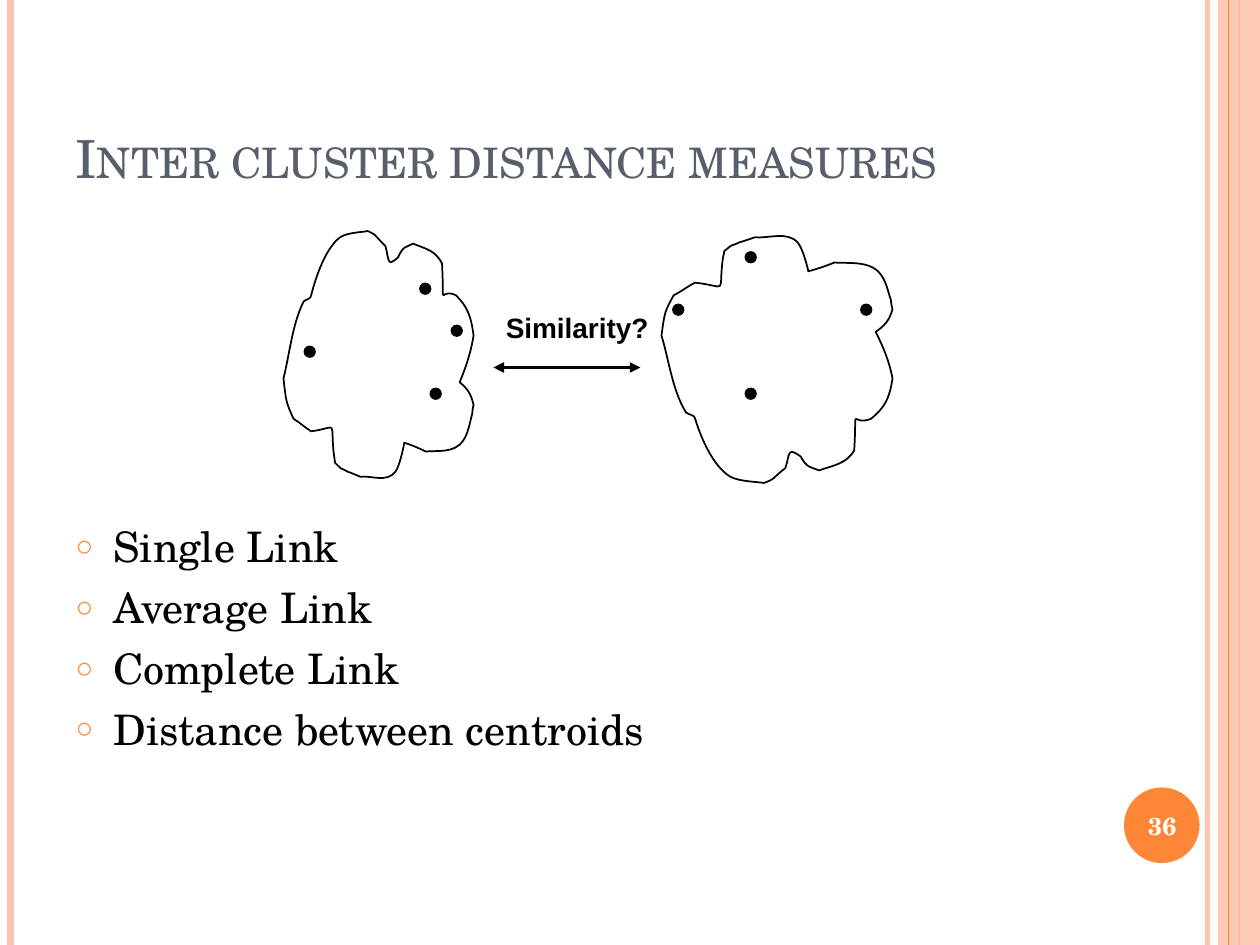
from dataclasses import dataclass

from lxml.etree import SubElement
from pptx import Presentation
from pptx.dml.color import RGBColor as RGB
from pptx.enum.shapes import MSO_CONNECTOR as Link, MSO_SHAPE as Shape
from pptx.enum.text import MSO_ANCHOR as Anchor, MSO_AUTO_SIZE as Fit, PP_ALIGN as Align
from pptx.oxml.ns import qn
from pptx.util import Inches, Pt

COLS, ROWS = 120, 90  # twelve grid steps to the inch


@dataclass(frozen=True)
class Theme:
    serif: str = "TeX Gyre Schola"
    sans: str = "Arial"
    ink: str = "000000"
    slate: str = "575F6D"
    orange: str = "FE8637"
    peach: str = "FEC3AE"
    white: str = "FFFFFF"
    title: int = 30
    body: int = 24
    label: int = 16
    page: int = 14


@dataclass(frozen=True)
class Box:
    """A place on the slide, in grid steps."""
    x: float
    y: float
    w: float
    h: float


@dataclass(frozen=True)
class Rule:
    col: float
    width: float
    color: str
    alpha: int = 100


@dataclass(frozen=True)
class Cluster:
    box: Box
    flip: bool
    dots: tuple


THEME = Theme()
RULES = (Rule(115, 3, THEME.peach, 93), Rule(1, 4.5, THEME.peach),
         Rule(118, 1.5, THEME.orange))
EDGE = Rule(117, 0.75, THEME.orange)
CLUSTERS = (
    Cluster(Box(27, 22, 18.1, 23.4), False, ((41, 37), (40, 27), (29, 33), (43, 31))),
    Cluster(Box(63, 22.6, 22, 23.4), True, ((82, 29), (64.1, 29), (71, 37), (71, 24))),
)
LINKS = ("Single Link", "Average Link", "Complete Link", "Distance between centroids")

# Cluster outline: a start point, then curves of two controls and an end
SPAN = (151, 195)
START = (16, 56)
CURVES = (
    (7, 74, 5, 97, 0, 117), (2, 135, 2, 136, 8, 149), (13, 152, 17, 156, 22, 159),
    (44, 156, 37, 149, 40, 177), (40, 179, 41, 182, 41, 184), (48, 191, 44, 187, 51, 191),
    (54, 192, 61, 195, 61, 195), (70, 194, 82, 200, 89, 191), (93, 185, 96, 168, 96, 168),
    (102, 170, 107, 172, 113, 175), (121, 174, 136, 177, 143, 166),
    (147, 160, 148, 152, 150, 145), (150, 142, 151, 138, 151, 138),
    (149, 129, 146, 125, 140, 120), (145, 108, 149, 96, 151, 83),
    (149, 67, 146, 60, 137, 51), (123, 44, 128, 66, 126, 26), (121, 15, 112, 14, 103, 10),
    (97, 13, 95, 12, 91, 21), (82, 29, 84, 23, 81, 12), (70, 1, 75, 4, 67, 0),
    (63, 1, 51, 1, 45, 5), (34, 13, 26, 35, 22, 51), (22, 54, 18, 54, 16, 56),
)


def step(n: float) -> int:
    return Inches(n / 12)


def place(shape, box: Box) -> None:
    shape.left, shape.top = step(box.x), step(box.y)
    shape.width, shape.height = step(box.w), step(box.h)


def fade(fill, alpha: int) -> None:
    """Set the opacity of a solid fill element, in percent."""
    if alpha < 100:
        SubElement(fill.find(qn("a:srgbClr")), qn("a:alpha"), val=str(alpha * 1000))


def write(para, text: str, font: str, size: int, color: str, bold: bool = False):
    run = para.add_run()
    run.text = text
    run.font.name, run.font.size, run.font.bold = font, Pt(size), bold
    run.font.color.rgb = RGB.from_string(color)
    return run


def ink_line(shape) -> None:
    shape.line.color.rgb = RGB.from_string(THEME.ink)
    shape.line.width = Pt(1)


def add_line(slide, start: tuple, end: tuple, width: float, color: str, alpha: int = 100):
    line = slide.shapes.add_connector(Link.STRAIGHT, *map(step, start + end))
    line.line.width = Pt(width)
    line.line.color.rgb = RGB.from_string(color)
    props = line._element.spPr
    fade(props.find(qn("a:ln")).find(qn("a:solidFill")), alpha)
    SubElement(props, qn("a:effectLst"))
    return line


def add_rule(slide, rule: Rule) -> None:
    add_line(slide, (rule.col, 0), (rule.col, ROWS), rule.width, rule.color, rule.alpha)


def add_solid(slide, kind, box: Box, color: str, alpha: int = 100):
    shape = slide.shapes.add_shape(kind, 0, 0, 0, 0)
    place(shape, box)
    shape.shadow.inherit = False
    shape.fill.solid()
    shape.fill.fore_color.rgb = RGB.from_string(color)
    fade(shape._element.spPr.find(qn("a:solidFill")), alpha)
    shape.line.fill.background()
    return shape


def add_label(slide, box: Box):
    label = slide.shapes.add_textbox(0, 0, 0, 0)
    place(label, box)
    label.text_frame.word_wrap = True
    return label.text_frame


def bend(blob, curves: list) -> None:
    """Turn each straight segment into a curve by adding its two controls."""
    for line, (first, second, _) in zip(list(blob._element.iter(qn("a:lnTo"))), curves):
        for x, y in (second, first):
            line.insert(0, SubElement(line, qn("a:pt"), x=str(x), y=str(y)))
        line.tag = qn("a:cubicBezTo")


def add_cluster(slide, group: Cluster) -> None:
    box = group.box

    def turn(x: int, y: int) -> tuple:
        return x, SPAN[1] - y if group.flip else y

    curves = [[turn(*c[i:i + 2]) for i in (0, 2, 4)] for c in CURVES]
    scale = step(box.w) / SPAN[0], step(box.h) / SPAN[1]
    pen = slide.shapes.build_freeform(*turn(*START), scale=scale)
    pen.add_line_segments([c[-1] for c in curves], close=True)
    blob = pen.convert_to_shape(step(box.x), step(box.y))
    bend(blob, curves)
    blob.shadow.inherit = False
    blob.fill.background()
    ink_line(blob)
    for x, y in group.dots:
        ink_line(add_solid(slide, Shape.OVAL, Box(x, y, 1, 1), THEME.ink))


def add_bullet(para) -> None:
    para.space_before = Pt(6)
    props = para._p.get_or_add_pPr()
    props.set("marL", str(Inches(0.3)))
    props.set("indent", str(-Inches(0.3)))
    SubElement(SubElement(props, qn("a:buClr")), qn("a:srgbClr"), val=THEME.orange)
    SubElement(props, qn("a:buSzPct"), val="70000")
    SubElement(props, qn("a:buChar"), char="○")


def fill_title(title) -> None:
    place(title, Box(6, 3.6, 98, 15))
    frame = title.text_frame
    frame.auto_size, frame.vertical_anchor = Fit.NONE, Anchor.BOTTOM
    para = frame.paragraphs[0]
    para.alignment = Align.LEFT
    run = write(para, "Inter cluster distance measures", THEME.serif, THEME.title, THEME.slate)
    run._r.get_or_add_rPr().set("cap", "small")


def fill_body(body) -> None:
    place(body, Box(6, 49, 85, 36))
    frame = body.text_frame
    frame.auto_size = Fit.NONE
    for i, text in enumerate(LINKS):
        para = frame.add_paragraph() if i else frame.paragraphs[0]
        add_bullet(para)
        write(para, text, THEME.serif, THEME.body, THEME.ink)


def add_page(slide) -> None:
    frame = add_label(slide, Box(106.7, 75.2, 8, 6.8))
    frame.vertical_anchor = Anchor.MIDDLE
    frame.paragraphs[0].alignment = Align.CENTER
    write(frame.paragraphs[0], "36", THEME.serif, THEME.page, THEME.white, True)


def add_query(slide) -> None:
    """Draw the two-headed arrow between the clusters and its label."""
    arrow = add_line(slide, (47, 35), (61, 35), 2, THEME.ink)
    for end in ("a:headEnd", "a:tailEnd"):
        SubElement(arrow._element.spPr.find(qn("a:ln")), qn(end), type="triangle")
    frame = add_label(slide, Box(47, 29, 19, 4.4))
    write(frame.paragraphs[0], "Similarity?", THEME.sans, THEME.label, THEME.ink, True)


def main() -> None:
    deck = Presentation()
    deck.slide_width, deck.slide_height = step(COLS), step(ROWS)
    slide = deck.slides.add_slide(deck.slide_layouts[1])
    for rule in RULES:
        add_rule(slide, rule)
    add_solid(slide, Shape.RECTANGLE, Box(116, 0, 4, ROWS), THEME.peach, 87)
    add_rule(slide, EDGE)
    add_solid(slide, Shape.OVAL, Box(107.05, 75, 7.2, 7.2), THEME.orange)
    fill_title(slide.shapes.title)
    fill_body(slide.placeholders[1])
    add_page(slide)
    add_query(slide)
    for group in CLUSTERS:
        add_cluster(slide, group)
    deck.save("out.pptx")


if __name__ == "__main__":
    main()
